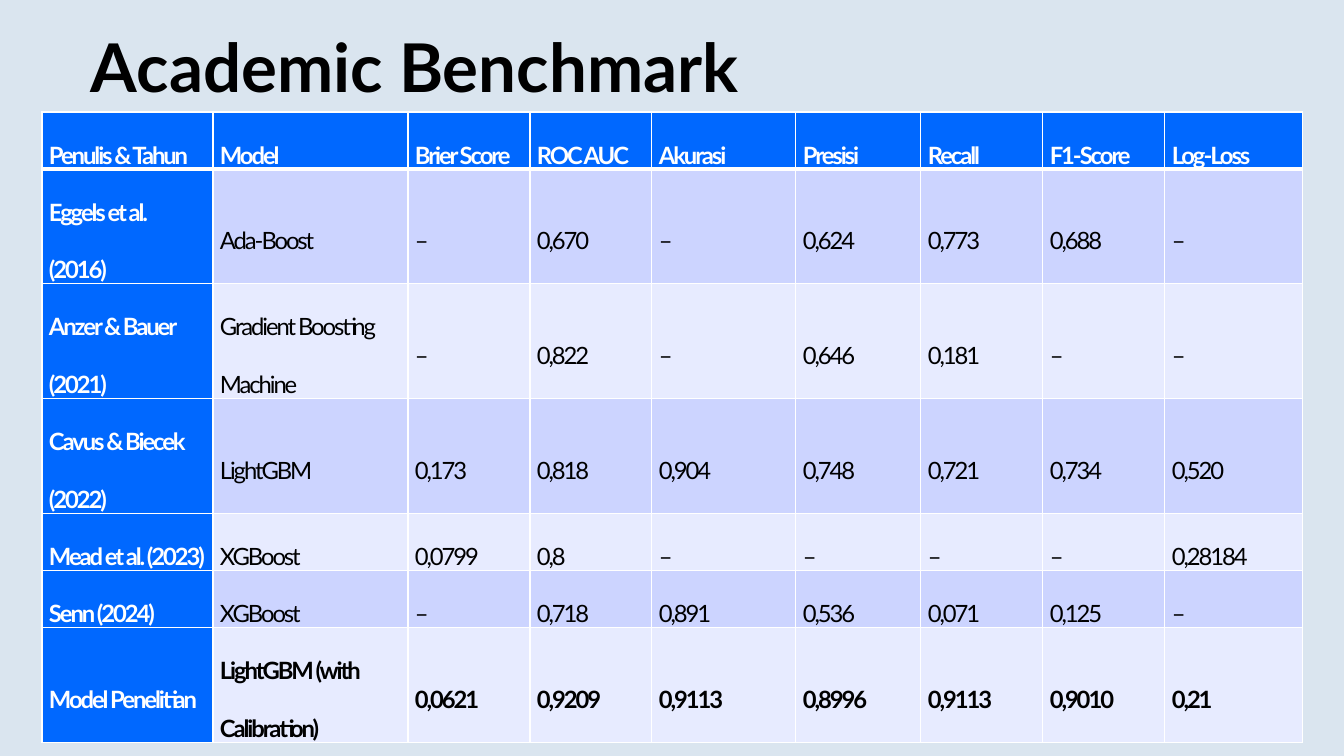
from lxml import etree
from pptx import Presentation
from pptx.dml.color import RGBColor
from pptx.enum.text import MSO_ANCHOR, MSO_AUTO_SIZE, PP_ALIGN
from pptx.oxml.ns import qn
from pptx.util import Emu, Pt

MIDDLE, BOTTOM = MSO_ANCHOR.MIDDLE, MSO_ANCHOR.BOTTOM
LEFT = PP_ALIGN.LEFT
NO_AUTOFIT = MSO_AUTO_SIZE.NONE

TITLE = "Academic Benchmark"
BENCHMARK = [
    ("Penulis & Tahun", "Model", "Brier Score", "ROC AUC", "Akurasi",
     "Presisi", "Recall", "F1-Score", "Log-Loss"),
    ("Eggels et al. (2016)", "Ada-Boost", "–", "0,670", "–",
     "0,624", "0,773", "0,688", "–"),
    ("Anzer & Bauer (2021)", "Gradient Boosting Machine", "–", "0,822", "–",
     "0,646", "0,181", "–", "–"),
    ("Cavus & Biecek (2022)", "LightGBM", "0,173", "0,818", "0,904",
     "0,748", "0,721", "0,734", "0,520"),
    ("Mead et al. (2023)", "XGBoost", "0,0799", "0,8", "–",
     "–", "–", "–", "0,28184"),
    ("Senn (2024)", "XGBoost", "–", "0,718", "0,891",
     "0,536", "0,071", "0,125", "–"),
    ("Model Penelitian", "LightGBM (with Calibration)", "0,0621", "0,9209", "0,9113",
     "0,8996", "0,9113", "0,9010", "0,21"),
]

COLORS = {
    "background": "DAE5EF",
    "header": "0068FF",
    "odd_row": "CCD4FF",
    "even_row": "E7EBFF",
    "white": "FFFFFF",
    "black": "000000",
}
FONT = "Lato"
SLIDE_WIDTH, SLIDE_HEIGHT = 1344, 756
TITLE_BOX = (91, 41, 1177, 71)
TABLE_LEFT, TABLE_TOP = 42, 112
COLUMN_WIDTHS = [171, 195, 122, 122, 144, 125, 122, 122, 138]
ROW_HEIGHTS = [57, 114, 115, 115, 57, 57, 114]
CELL_MARGIN = 7


def px(length):
    return Emu(round(length * 12192000 / SLIDE_WIDTH))


def color(name):
    return RGBColor.from_string(COLORS[name])


def set_font(paragraph, size, color_name, bold):
    paragraph.font.name = FONT
    paragraph.font.size = Pt(size)
    paragraph.font.bold = bold
    paragraph.font.color.rgb = color(color_name)


def add_borders(cell, top, bottom):
    """Draw white cell borders; top and bottom are widths in points."""
    properties = cell._tc.get_or_add_tcPr()
    for side, width in (("L", 1), ("R", 1), ("T", top), ("B", bottom)):
        line = etree.SubElement(properties, qn(f"a:ln{side}"), w=str(Pt(width)))
        fill = etree.SubElement(line, qn("a:solidFill"))
        etree.SubElement(fill, qn("a:srgbClr"), val=COLORS["white"])


def format_cell(cell, text, row, column):
    is_header = row == 0 or column == 0
    is_last_row = row == len(BENCHMARK) - 1
    add_borders(cell, top=3 if row == 1 else 1, bottom=3 if row == 0 else 1)
    cell.fill.solid()
    cell.fill.fore_color.rgb = color(
        "header" if is_header else "odd_row" if row % 2 else "even_row")
    cell.vertical_anchor = MIDDLE
    cell.margin_left = cell.margin_right = px(CELL_MARGIN)
    cell.margin_top = cell.margin_bottom = 0
    cell.text = text
    paragraph = cell.text_frame.paragraphs[0]
    paragraph.line_spacing = 2.0
    set_font(paragraph, 17, "white" if is_header else "black", is_header or is_last_row)
    paragraph._p.pPr.find(qn("a:defRPr")).set("spc", "-150")


def add_title(slide):
    title = slide.shapes.title
    title.left, title.top, title.width, title.height = map(px, TITLE_BOX)
    frame = title.text_frame
    frame.text = TITLE
    frame.auto_size = NO_AUTOFIT
    frame.vertical_anchor = BOTTOM
    frame.margin_left = 0
    paragraph = frame.paragraphs[0]
    paragraph.alignment = LEFT
    paragraph.line_spacing = 0.9
    set_font(paragraph, 48, "black", True)


def add_benchmark_table(slide):
    table = slide.shapes.add_table(
        len(BENCHMARK), len(COLUMN_WIDTHS), px(TABLE_LEFT), px(TABLE_TOP),
        px(sum(COLUMN_WIDTHS)), px(sum(ROW_HEIGHTS))).table
    table.first_col = True
    for column, width in zip(table.columns, COLUMN_WIDTHS):
        column.width = px(width)
    for row, height in zip(table.rows, ROW_HEIGHTS):
        row.height = px(height)
    for row, texts in enumerate(BENCHMARK):
        for column, text in enumerate(texts):
            format_cell(table.cell(row, column), text, row, column)


def main():
    presentation = Presentation()
    presentation.slide_width = px(SLIDE_WIDTH)
    presentation.slide_height = px(SLIDE_HEIGHT)
    slide = presentation.slides.add_slide(presentation.slide_layouts[5])
    slide.background.fill.solid()
    slide.background.fill.fore_color.rgb = color("background")
    add_title(slide)
    add_benchmark_table(slide)
    presentation.save("out.pptx")


if __name__ == "__main__":
    main()
